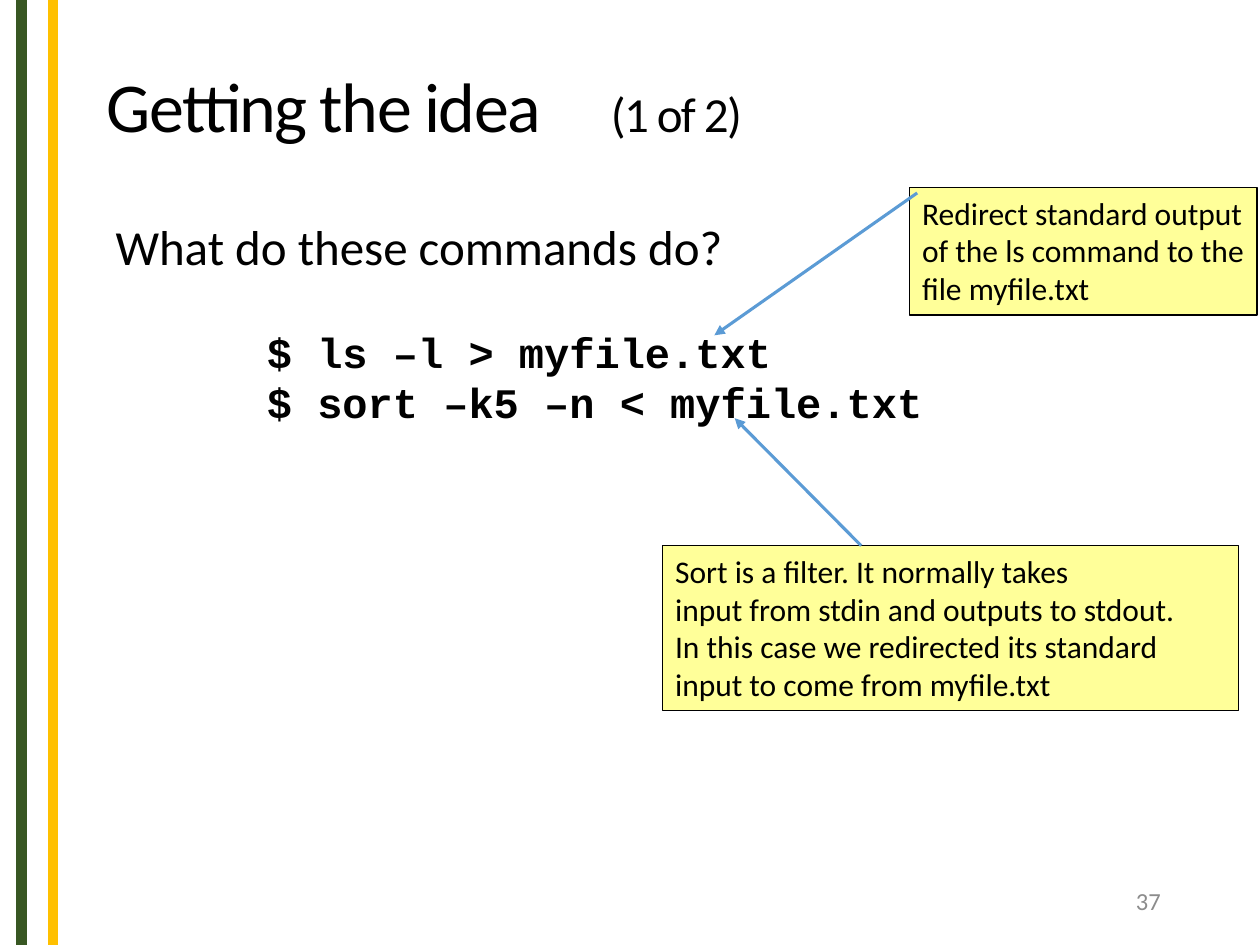
from lxml import etree
from pptx import Presentation
from pptx import util as u
from pptx.dml.color import RGBColor
from pptx.enum import shapes, text
from pptx.oxml.ns import qn

GREEN = RGBColor(0x38, 0x57, 0x23)
GOLD = RGBColor(0xFF, 0xC0, 0x00)
YELLOW = RGBColor(0xFF, 0xFF, 0x99)
BLUE = RGBColor(0x5B, 0x9B, 0xD5)
BLACK = RGBColor(0, 0, 0)
GREY = RGBColor(0x8C, 0x8C, 0x8C)


def style(font, size, color=BLACK, name="Calibri", bold=False):
    """Set the size, colour, face and weight of a font."""
    font.size, font.name, font.bold = u.Pt(size), name, bold
    font.color.rgb = color


def add_line(s, start, end, color, width, arrow=False):
    """Draw a straight line between two points, with an arrowhead if asked."""
    points = [u.Cm(v) for v in (*start, *end)]
    line = s.shapes.add_connector(shapes.MSO_CONNECTOR.STRAIGHT, *points)
    line.line.color.rgb, line.line.width = color, u.Pt(width)
    if arrow:
        etree.SubElement(line.line._get_or_add_ln(), qn("a:tailEnd"), type="triangle")
    etree.SubElement(line._element.spPr, qn("a:effectLst"))


def add_stripes(s, left, height):
    """Draw the two vertical stripes at the slide's edge."""
    for x, color in ((left, GREEN), (left + 0.64, GOLD)):
        add_line(s, (x, 0), (x, height), color, 6)


def add_title(s, box, title, part):
    """Fill the title placeholder, with the part number after a tab."""
    sp = s.shapes.title
    sp.left, sp.top, sp.width, sp.height = (u.Cm(v) for v in box)
    tf = sp.text_frame
    tf.auto_size = text.MSO_AUTO_SIZE.NONE
    tf.vertical_anchor = text.MSO_ANCHOR.MIDDLE
    p = tf.paragraphs[0]
    p.alignment, p.line_spacing = text.PP_ALIGN.LEFT, 0.85
    tabs = etree.SubElement(p._p.get_or_add_pPr(), qn("a:tabLst"))
    etree.SubElement(tabs, qn("a:tab"), pos=str(u.Cm(10.16)), algn="l")
    for words, size in ((title + "\t", 40), (part, 28)):
        r = p.add_run()
        r.text = words
        style(r.font, size)
        r.font._element.set("spc", "-90")


def add_text(s, box):
    """Add a wrapping text box and return its frame."""
    tf = s.shapes.add_textbox(*(u.Cm(v) for v in box)).text_frame
    tf.word_wrap = True
    return tf


def add_commands(s, box, question, commands):
    """Write the question and the indented commands below it."""
    tf = add_text(s, box)
    p = tf.paragraphs[0]
    p.text = question
    style(p.font, 28)
    for i, command in enumerate(commands):
        p = tf.add_paragraph()
        p.text = command
        p.space_before = u.Pt(0 if i else 29)
        p._p.get_or_add_pPr().set("marL", str(u.Cm(3.05)))
        style(p.font, 24, name="Courier New", bold=True)


def add_callout(s, box, lines, start, end):
    """Draw a yellow note and its arrow, which starts relative to the note."""
    left, top = box[:2]
    sp = s.shapes.add_shape(shapes.MSO_SHAPE.RECTANGLE, *(u.Cm(v) for v in box))
    sp.shadow.inherit = False
    sp.fill.solid()
    sp.fill.fore_color.rgb = YELLOW
    sp.line.color.rgb, sp.line.width = BLACK, u.Pt(0.75)
    tf = sp.text_frame
    tf.word_wrap, tf.vertical_anchor = True, text.MSO_ANCHOR.TOP
    tf.text = "\n".join(lines)
    for p in tf.paragraphs:
        p.alignment = text.PP_ALIGN.LEFT
        style(p.font, 18)
    add_line(s, (left + start[0], top + start[1]), end, BLUE, 1.75, arrow=True)


def add_number(s, box, number):
    """Write the slide number at the right of its box."""
    tf = add_text(s, box)
    tf.vertical_anchor = text.MSO_ANCHOR.MIDDLE
    p = tf.paragraphs[0]
    p.text, p.alignment = number, text.PP_ALIGN.RIGHT
    style(p.font, 14, GREY)


def main():
    """Build the slide and save it."""
    prs = Presentation()
    prs.slide_width, prs.slide_height = u.Cm(25.4), u.Cm(19.05)
    s = prs.slides.add_slide(prs.slide_layouts[5])
    add_stripes(s, 0.43, 19.05)
    add_title(s, (1.9, 0.64, 20.32, 3.18), "Getting the idea", "(1 of 2)")
    add_commands(s, (2.08, 4.24, 19.3, 4.52), "What do these commands do?",
                 ["$ ls –l > myfile.txt", "$ sort –k5 –n < myfile.txt"])
    add_callout(s, (18.34, 3.78, 7, 2.57),
                ["Redirect standard output of the ls command to the file myfile.txt"],
                (0.15, 0.11), (14.4, 6.76))
    add_callout(s, (13.36, 11, 11.61, 3.33),
                ["Sort is a filter. It normally takes",
                 "input from stdin and outputs to stdout.",
                 "In this case we redirected its standard",
                 "input to come from myfile.txt"],
                (4, 0), (14.81, 8.43))
    add_number(s, (17.93, 17.65, 5.72, 1.02), "37")
    prs.save("out.pptx")


if __name__ == "__main__":
    main()
